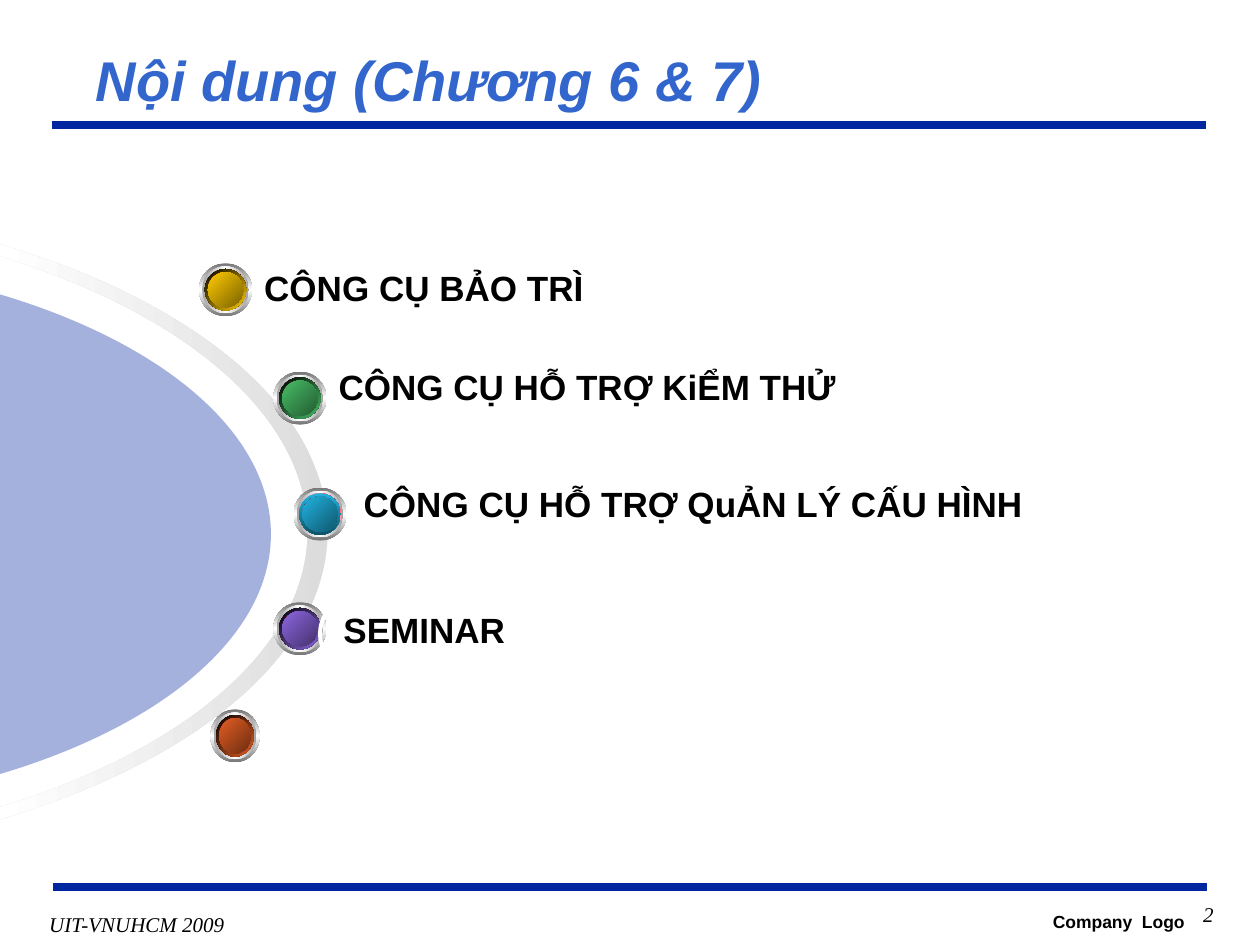
from lxml.etree import SubElement
from pptx import Presentation
from pptx.dml.color import RGBColor
from pptx.enum.shapes import MSO_CONNECTOR, MSO_SHAPE
from pptx.enum.text import MSO_ANCHOR, MSO_AUTO_SIZE, PP_ALIGN
from pptx.oxml.ns import qn
from pptx.util import Inches, Pt

HEX = {
    "navy": "00279F", "title": "3366CC", "black": "000000", "white": "FFFFFF",
    "silver": "DCDCDC", "steel": "767676", "grey": "A2A2A2",
    "red": "FC0128", "teal": "216B6B",
}
LABEL = {"size": Pt(20), "name": "Arial", "bold": True}
NOTE = {"size": Pt(12), "name": "Times New Roman", "italic": True}
LOGO = {"size": Pt(10), "name": "Arial", "bold": True}
HEAD = {"size": Pt(32), "name": "Arial", "bold": True, "italic": True}

# left, top, width, bright, dark, rim start, rim end, rim angle
BALLS = [
    (1.58, 2.09, 0.42, "FFCC00", "7C6300", "000000", "FFCC00", 45),
    (2.17, 2.95, 0.42, "48BE67", "235C32", "000000", "48BE67", 45),
    (2.33, 3.87, 0.42, "21B3E1", "10576D", "21B3E1", "0F5368", 90),
    (2.17, 4.78, 0.42, "8D67E1", "45326D", "000000", "8D67E1", 45),
    (1.67, 5.63, 0.39, "E35E23", "6E2E11", "000000", "E35E23", 45),
]
PILLS = [
    ((2.53, 4.67, 4.83, 0.56), "", 0.8),
    ((2.69, 3.69, 5.87, 0.67), "CÔNG CỤ HỖ TRỢ QuẢN LÝ CẤU HÌNH", 0.8),
    ((2.5, 2.79, 6.86, 0.61), "CÔNG CỤ HỖ TRỢ KiỂM THỬ", 0.8),
    ((1.93, 2.07, 5.14, 0.47), "CÔNG CỤ BẢO TRÌ", 0.9),
]
SEMINAR = ((2.54, 4.73, 5.87, 0.6), "SEMINAR", 0.8)


def tint(name):
    return RGBColor.from_string(HEX[name])


def box(nums):
    return [Inches(n) for n in nums]


def write(frame, text, look, align=PP_ALIGN.LEFT, color="black"):
    frame.text = text
    para = frame.paragraphs[0]
    para.alignment = align
    for key, value in look.items():
        setattr(para.runs[0].font, key, value)
    para.runs[0].font.color.rgb = tint(color)
    return para


def blend(shape, stops, angle):
    """Fill with evenly spaced colour stops; the angle runs clockwise."""
    shape.fill.gradient()
    shape.fill.gradient_angle = -angle % 360
    row = shape.element.spPr.find(qn("a:gradFill")).find(qn("a:gsLst"))
    row.clear()
    for i, code in enumerate(stops):
        stop = SubElement(row, qn("a:gs"), pos=str(100000 * i // (len(stops) - 1)))
        SubElement(stop, qn("a:srgbClr"), val=code)


def add_rule(slide, left, y):
    rule = slide.shapes.add_connector(
        MSO_CONNECTOR.STRAIGHT, *box((left, y, left + 9.16, y)))
    rule.line.color.rgb = tint("navy")
    rule.line.width = Pt(4.5)
    SubElement(rule.element.spPr, qn("a:effectLst"))


def add_note(slide, place, text, look, align=PP_ALIGN.RIGHT, wrap=True, pad=(0.1, 0.05)):
    frame = slide.shapes.add_textbox(*box(place)).text_frame
    frame.word_wrap = wrap
    frame.margin_left = frame.margin_right = Inches(pad[0])
    frame.margin_top = frame.margin_bottom = Inches(pad[1])
    write(frame, text, look, align)


def arc(left, right, half, mid, bend):
    """Start point and two cubic curves of a half ellipse, top to bottom."""
    kx, ky = bend * (right - left), bend * half
    top, low = mid - half, mid + half
    return [
        (left, top), (left + kx, top), (right, mid - ky), (right, mid),
        (right, mid + ky), (left + kx, low), (left, low),
    ]


def add_outline(slide, arcs, center):
    """Join arcs by lines, in a frame turned by a quarter about the center."""
    cx, cy = center
    dots = [box((cx + y - cy, cy - x + cx)) for points in arcs for x, y in points]
    pen = slide.shapes.build_freeform(*dots[0])
    pen.add_line_segments(dots[1:], close=True)
    shape = pen.convert_to_shape()
    shape.rotation = 90
    shape.shadow.inherit = False
    shape.line.fill.background()
    track = shape.element.find(".//" + qn("a:path"))
    legs = track.findall(qn("a:lnTo"))
    size = len(arcs[0])
    for first in range(0, len(legs), size):
        for start in (first, first + 3):
            trio = legs[start:start + 3]
            bend = SubElement(track, qn("a:cubicBezTo"))
            trio[0].addprevious(bend)
            for leg in trio:
                bend.append(leg[0])
                track.remove(leg)
    return shape


def add_dial(slide):
    rim = [arc(-2.62, 2.44, 2.56, 4.22, 0.55),
           arc(-2.62, 2.6, 2.64, 4.22, 0.55)[::-1]]
    ring = add_outline(slide, rim, (-0.01, 4.22))
    blend(ring, [HEX[n] for n in ("silver", "white", "silver")], 270)
    disc = add_outline(slide, [arc(-2.15, 2.15, 2.2, 4.24, 0.55)], (0, 4.24))
    disc.fill.solid()
    disc.fill.fore_color.rgb = tint("navy")
    SubElement(disc.element.spPr.find(".//" + qn("a:srgbClr")),
               qn("a:alpha"), val="36000")


def add_pill(slide, place, text, space):
    pill = slide.shapes.add_shape(MSO_SHAPE.ROUNDED_RECTANGLE, *box(place))
    pill.adjustments[0] = 0.5
    pill.shadow.inherit = False
    pill.fill.background()
    pill.line.color.rgb = tint("white")
    pill.line.width = Pt(2.25)
    if text:
        frame = pill.text_frame
        frame.word_wrap = False
        frame.vertical_anchor = MSO_ANCHOR.MIDDLE
        write(frame, text, LABEL).line_spacing = space


def add_ball(slide, left, top, width, bright, dark, start, end, turn):
    steel, grey, white, red, teal = (
        HEX[n] for n in ("steel", "grey", "white", "red", "teal"))
    layers = [  # trim, stops, angle
        (0, (steel, white, steel), 90),
        (0.05, (grey, white, grey), 0),
        (0.09, (white, red, white), 45),
        (0.09, (start, end), turn),
        (0.14, (teal, red, teal), 315),
        (0.14, (bright, dark), 45),
    ]
    group = slide.shapes.add_group_shape()
    for trim, stops, angle in layers:
        disc = group.shapes.add_shape(MSO_SHAPE.OVAL, *box(
            (left + trim / 2, top + trim / 2, width - trim, 0.42 - trim)))
        disc.shadow.inherit = False
        disc.line.fill.background()
        blend(disc, stops, angle)


def set_title(slide, text):
    title = slide.shapes.title
    title.left, title.top, title.width, title.height = box((0.66, 0.33, 8.87, 0.59))
    frame = title.text_frame
    frame.auto_size = MSO_AUTO_SIZE.NONE
    frame.vertical_anchor = MSO_ANCHOR.MIDDLE
    write(frame, text, HEAD, color="title")


def main():
    deck = Presentation()
    deck.slide_width, deck.slide_height = box((10, 7.5))
    slide = deck.slides.add_slide(deck.slide_layouts[5])
    add_rule(slide, 0.41, 0.99)
    add_rule(slide, 0.42, 7.04)
    add_note(slide, (0.29, 7.19, 1.59, 0.29), "UIT-VNUHCM 2009", NOTE,
             PP_ALIGN.CENTER, False, (0.09, 0.04))
    add_note(slide, (7.83, 7.18, 1.67, 0.32), "Company  Logo", LOGO)
    set_title(slide, "Nội dung (Chương 6 & 7)")
    add_dial(slide)
    for pill in PILLS:
        add_pill(slide, *pill)
    for ball in BALLS:
        add_ball(slide, *ball)
    add_pill(slide, *SEMINAR)
    add_note(slide, (8.48, 7.11, 1.25, 0.33), "2", NOTE)
    deck.save("out.pptx")


if __name__ == "__main__":
    main()
